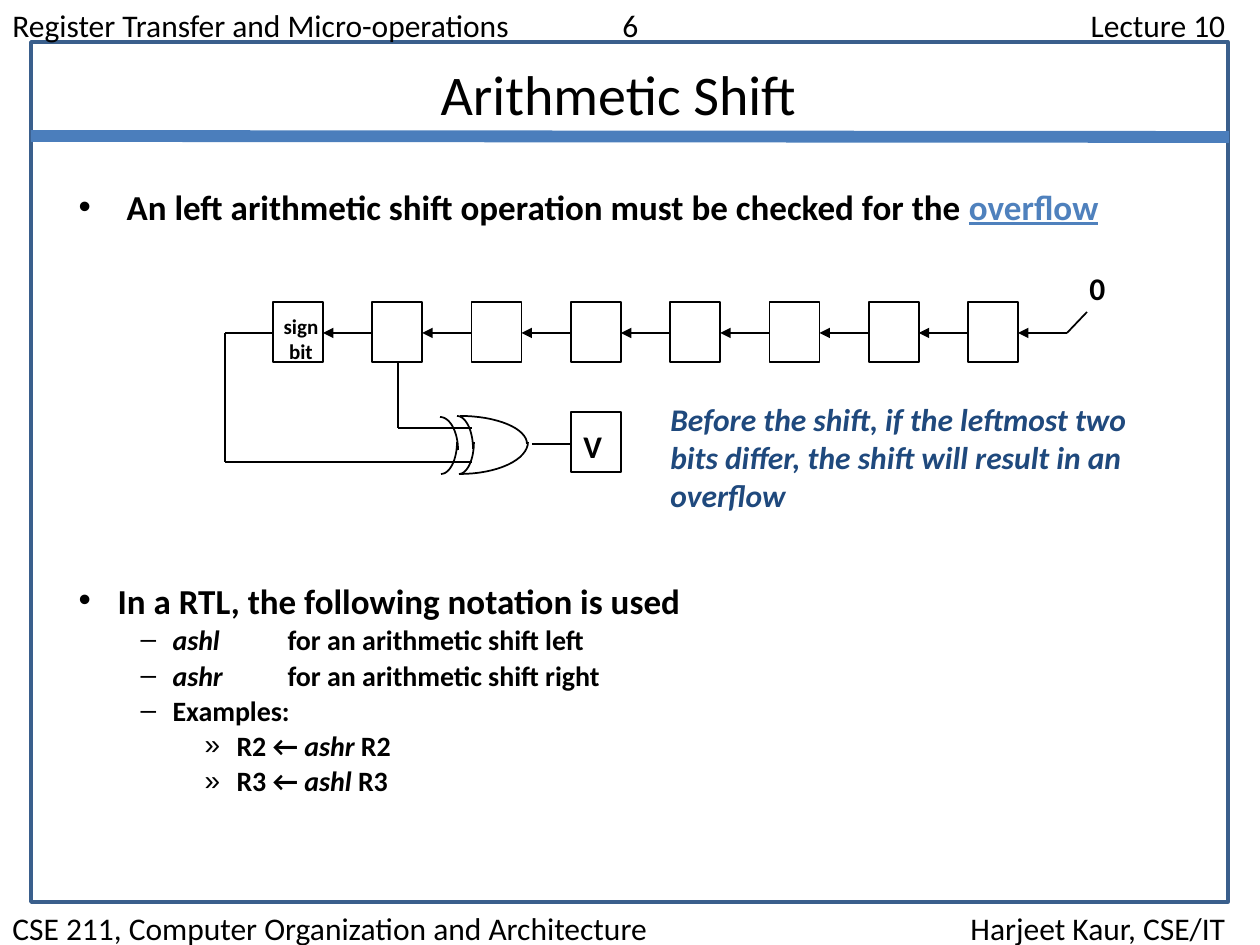
from math import cos, pi, sin

from lxml.etree import SubElement
from pptx import Presentation
from pptx.dml.color import RGBColor
from pptx.enum.shapes import MSO_CONNECTOR, MSO_SHAPE
from pptx.enum.text import MSO_ANCHOR, MSO_AUTO_SIZE, PP_ALIGN
from pptx.oxml.ns import qn
from pptx.util import Emu, Pt

UNIT = 914400 / 126
BLACK = "000000"


def px(n):
    return Emu(round(n * UNIT))


def ink(code):
    return RGBColor.from_string(code)


def place(item, x, y, w, h):
    item.left, item.top, item.width, item.height = px(x), px(y), px(w), px(h)


def write(para, text, size=18, color=BLACK, bold=False, slant=False, under=False):
    run = para.add_run()
    run.text = text
    font = run.font
    font.name, font.size = "Calibri", Pt(size)
    font.bold, font.italic, font.underline = bold, slant, under
    font.color.rgb = ink(color)


def lines(frame, rows, align=PP_ALIGN.LEFT, **style):
    for i, row in enumerate(rows):
        para = frame.add_paragraph() if i else frame.paragraphs[0]
        para.alignment = align
        write(para, row, **style)


def label(slide, spot, rows, wrap=False, **style):
    box = slide.shapes.add_textbox(*map(px, spot))
    box.text_frame.word_wrap = wrap
    lines(box.text_frame, rows, **style)
    return box.text_frame.paragraphs[0]


def tabs(para, stops):
    group = SubElement(para._p.get_or_add_pPr(), qn("a:tabLst"))
    for at, side in stops:
        SubElement(group, qn("a:tab"), pos=str(px(at)), algn=side)


def bullet(para, mark, left, hang):
    props = para._p.get_or_add_pPr()
    props.set("marL", str(px(left)))
    props.set("indent", str(-px(hang)))
    SubElement(props, qn("a:buChar"), char=mark)


def body(holder, spot):
    place(holder, *spot)
    frame = holder.text_frame
    frame.auto_size = MSO_AUTO_SIZE.NONE
    frame.word_wrap = True
    frame.vertical_anchor = MSO_ANCHOR.TOP
    return frame


def rect(slide, x, y, w, h, color=BLACK, weight=1):
    shape = slide.shapes.add_shape(MSO_SHAPE.RECTANGLE, px(x), px(y), px(w), px(h))
    shape.shadow.inherit = False
    shape.fill.background()
    shape.line.color.rgb = ink(color)
    shape.line.width = Pt(weight)


def wire(slide, x1, y1, x2, y2, color=BLACK, weight=1, arrow=False):
    link = slide.shapes.add_connector(MSO_CONNECTOR.STRAIGHT, px(x1), px(y1), px(x2), px(y2))
    link.line.color.rgb = ink(color)
    link.line.width = Pt(weight)
    if arrow:
        SubElement(link.line._get_or_add_ln(), qn("a:tailEnd"), type="triangle")
    SubElement(link._element.spPr, qn("a:effectLst"))


def curve(slide, x, y, w, h, low):
    steps = [pi / 2 * i / 16 for i in range(17)]
    if low:
        dots = [(px(x + w * cos(t)), px(y + h * sin(t))) for t in steps]
    else:
        dots = [(px(x + w * sin(t)), px(y + h - h * cos(t))) for t in steps]
    pen = slide.shapes.build_freeform(*dots[0], scale=1.0)
    pen.add_line_segments(dots[1:], close=False)
    shape = pen.convert_to_shape()
    shape.shadow.inherit = False
    shape.fill.background()
    shape.line.color.rgb = ink(BLACK)
    shape.line.width = Pt(1)


def frame(slide):
    rect(slide, 31, 42, 1197, 860, color="3A5F8C", weight=2)
    head = label(slide, (0, 0, 1260, 50),
                 ["Register Transfer and Micro-operations\t6\tLecture 10"], wrap=True)
    tabs(head, [(610, "l"), (1213, "r")])
    foot = label(slide, (0, 903, 1260, 50),
                 ["CSE 211, Computer Organization and Architecture\tHarjeet Kaur, CSE/IT"], wrap=True)
    tabs(foot, [(1213, "r")])
    wire(slide, 31, 136, 1229, 137, color="4B7EBC", weight=6.75)


def register(slide):
    pitch, wide, mid = 99.3, 50, 333
    for i in range(8):
        x = 273 + i * pitch
        rect(slide, x, 302, wide, 60)
        wire(slide, x + pitch, mid, x + wide, mid, arrow=True)
    wire(slide, 1067, mid, 1087, 312)
    label(slide, (1077, 263, 42, 50), ["0"], bold=True)
    label(slide, (271, 307, 60, 63), ["sign", "bit"], align=PP_ALIGN.CENTER, size=12, bold=True)


def gate(slide):
    for x, y, w, h, low in [
        (460, 416, 67, 28, False), (460, 442, 68, 32, True),
        (457, 416, 16, 33, False), (459, 442, 15, 32, True),
        (440, 417, 18, 33, False), (441, 442, 16, 32, True),
    ]:
        curve(slide, x, y, w, h, low)
    for ends in [
        (273, 333, 225, 333), (225, 333, 225, 462), (472, 462, 225, 462),
        (398, 362, 398, 428), (472, 428, 398, 428), (532, 444, 571, 444),
    ]:
        wire(slide, *ends)
    rect(slide, 571, 412, wide := 50, wide + 10)
    label(slide, (571, 421, 44, 50), ["V"], bold=True)
    label(slide, (658, 394, 489, 127),
          ["Before the shift, if the leftmost two", "bits differ, the shift will result in an", "overflow"],
          color="1F497D", bold=True, slant=True)


def notation(holder):
    text = body(holder, (66, 581, 1101, 248))
    looks = [("•", 39, 39, 20), ("–", 94, 32, 16), ("»", 158, 32, 16)]
    rows = [
        (0, ["In a RTL, the following notation is used"]),
        (1, ["", "ashl", "\tfor an arithmetic shift left"]),
        (1, ["", "ashr", "\tfor an arithmetic shift right"]),
        (1, ["Examples:"]),
        (2, ["R2 ← ", "ashr", " R2"]),
        (2, ["R3 ← ", "ashl", " R3"]),
    ]
    for i, (level, parts) in enumerate(rows):
        para = text.add_paragraph() if i else text.paragraphs[0]
        mark, left, hang, size = looks[level]
        para.level = level
        para.line_spacing = 0.8
        para.space_before = Pt(size * 0.3)
        bullet(para, mark, left, hang)
        if level == 1:
            tabs(para, [(209, "l")])
        for j, part in enumerate(parts):
            if part:
                write(para, part, size=size, bold=True, slant=j == 1)


def main():
    deck = Presentation()
    deck.slide_width, deck.slide_height = px(1260), px(945)
    slide = deck.slides.add_slide(deck.slide_layouts[3])
    title, first, second = slide.placeholders
    frame(slide)
    place(title, 88, 53, 1061, 81)
    lines(title.text_frame, ["Arithmetic Shift"], align=PP_ALIGN.CENTER, size=32)
    para = body(first, (66, 179, 1101, 134)).paragraphs[0]
    para.space_before = Pt(4)
    bullet(para, "•", 48, 48)
    write(para, "An left arithmetic shift operation must be checked for the ", size=20, bold=True)
    write(para, "overflow", size=20, color="4F81BD", bold=True, under=True)
    register(slide)
    gate(slide)
    notation(second)
    deck.save("out.pptx")


if __name__ == "__main__":
    main()
